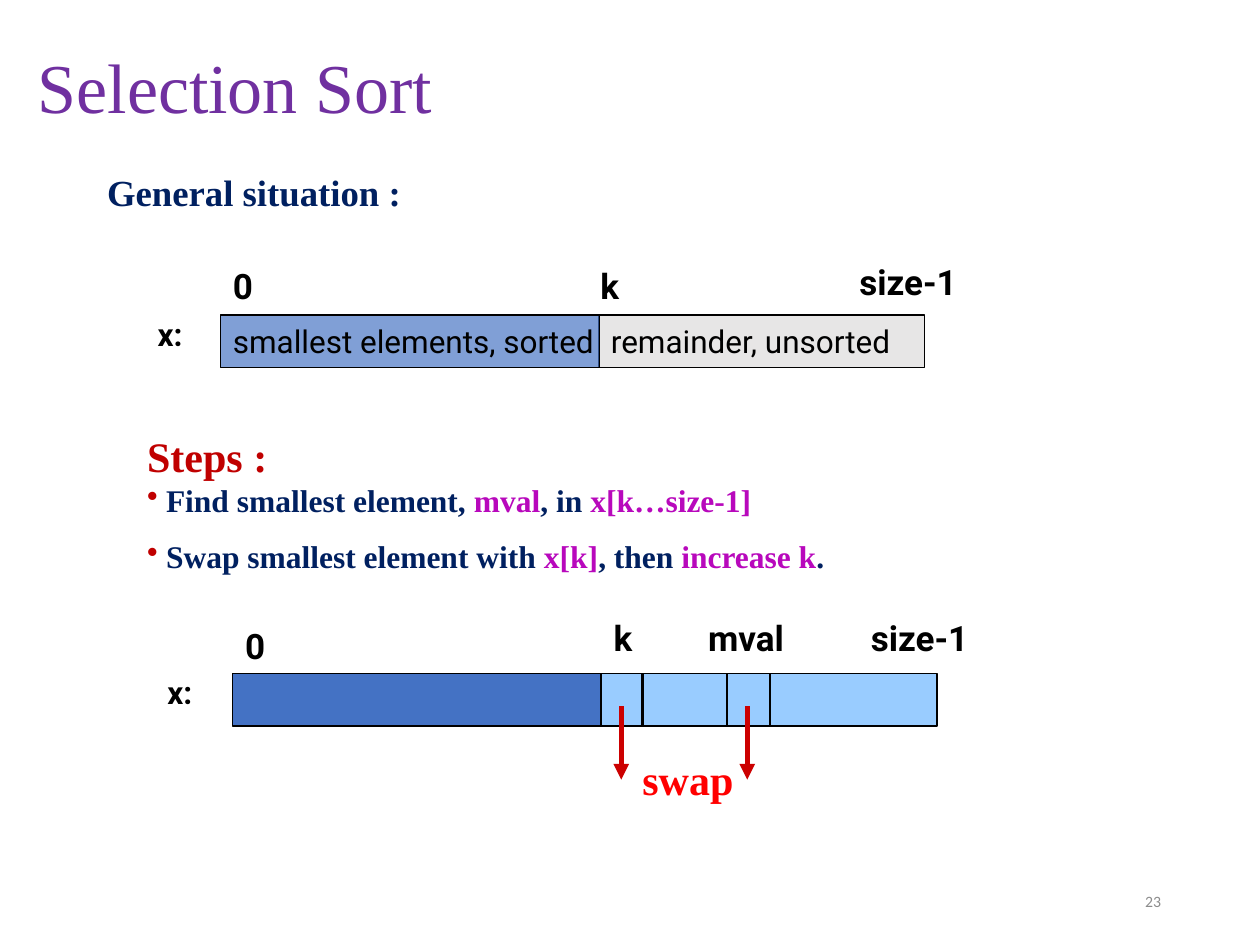
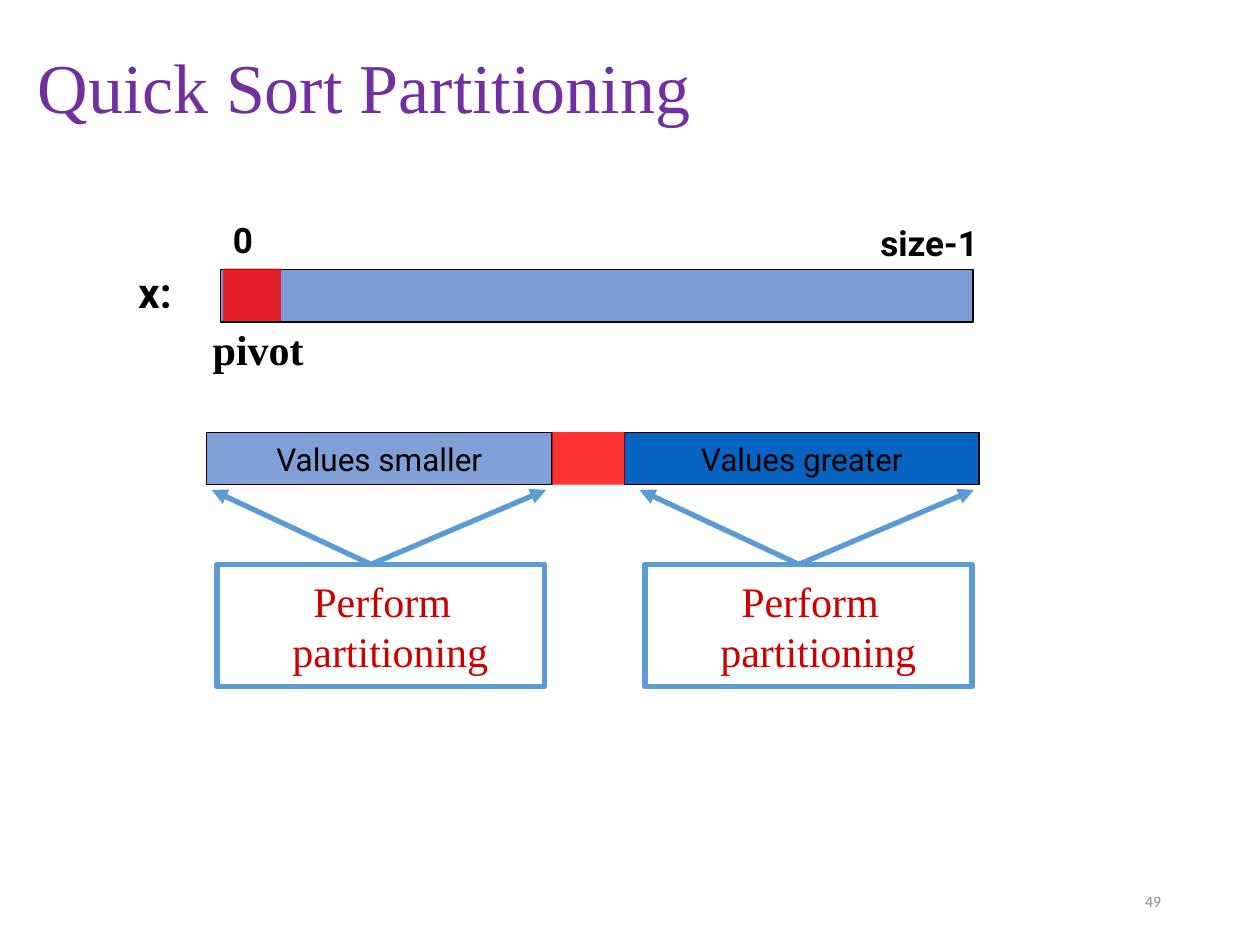
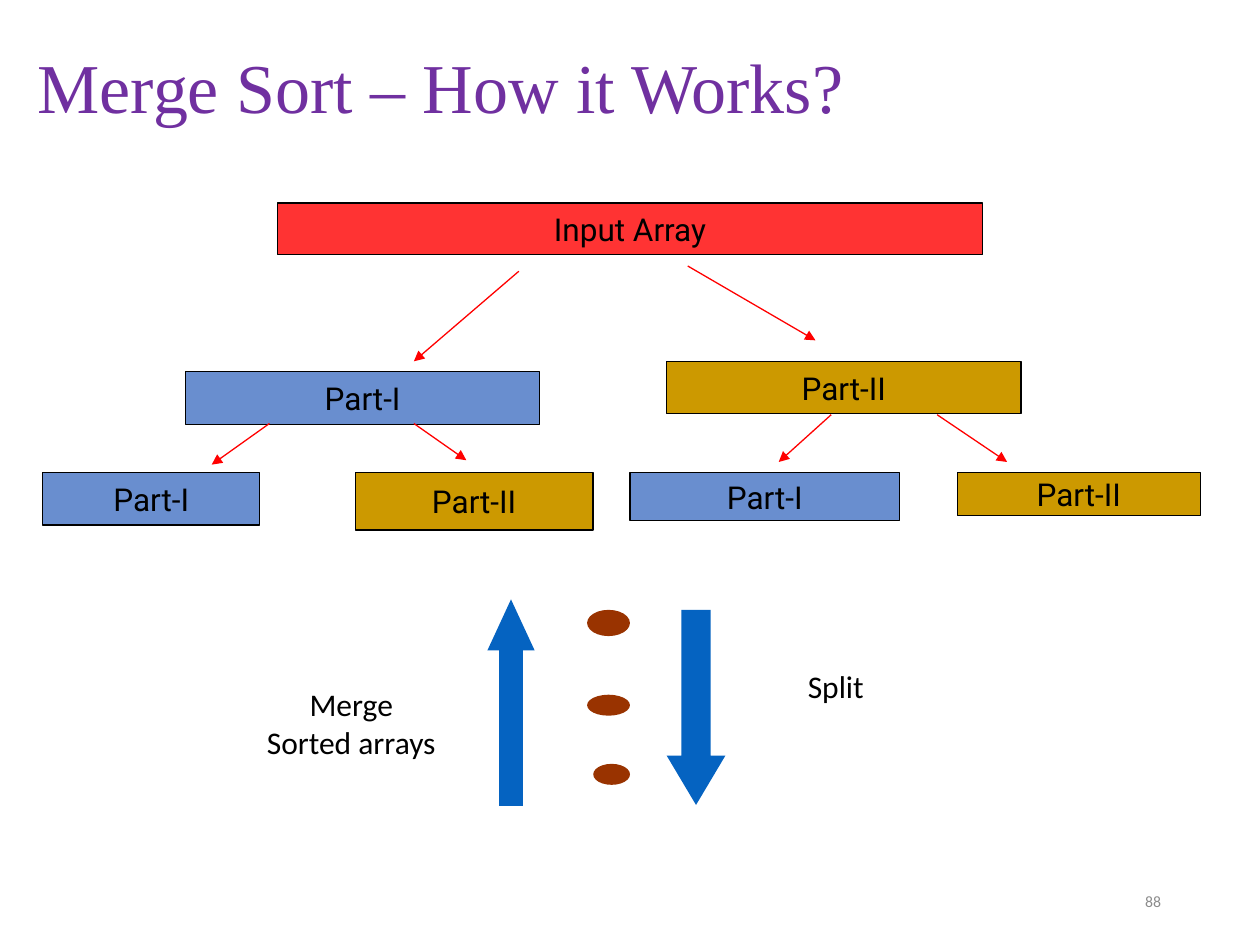
"""Build three slides on selection sort, quick sort and merge sort."""
import pptx
import pptx.dml.color
import pptx.enum.shapes
import pptx.enum.text
import pptx.oxml.ns
import pptx.oxml.xmlchemy
import pptx.util
from lxml import etree

Pt = pptx.util.Pt
qn = pptx.oxml.ns.qn
MSO = pptx.enum.shapes.MSO_SHAPE
ALIGN = pptx.enum.text.PP_ALIGN
ANCHOR = pptx.enum.text.MSO_ANCHOR

C = {
    "purple": "7030A0", "navy": "002060", "grey": "8C8C8C", "silver": "E7E6E6",
    "blue": "4472C4", "sky": "99CCFF", "azure": "0563C1", "frame": "5B9BD5",
    "red": "FF0000", "crimson": "CC0000", "maroon": "C00000", "gold": "CC9900",
    "brown": "993300", "magenta": "B808BC", "black": "000000", "white": "FFFFFF",
}
SERIF, SANS, PLAIN = "Times New Roman", "Roboto", "Calibri"
BAR_H = 30
PART_1, PART_2 = ("Part-I", "blue", 80), ("Part-II", "gold", 100)

SELECTION_BARS = [
    (342, 180, 186.5, "remainder, unsorted", "silver", 100),
    (126, 180, 216.5, "smallest elements, sorted", "blue", 68),
    (133, 385, 210.5, "", "blue", 100),
    (343.5, 385, 192, "", "sky", 100),
]
SELECTION_LABELS = [
    ("0", 126, 147.5, 27.5, 20), ("size-1", 484, 145.5, 75, 20),
    ("k", 336, 147.5, 27, 20), ("x:", 83, 176.5, 37.5, 18),
    ("0", 133, 353.5, 27.5, 20), ("k", 343.5, 349, 27, 20),
    ("size-1", 490.5, 349, 79, 20), ("mval", 397.5, 349, 65, 20),
    ("x:", 88.5, 381, 37.5, 18),
]
STEPS = [
    [("Find smallest element, ", "navy"), ("mval", "magenta"),
     (", in ", "navy"), ("x[k…size-1]", "magenta")],
    [("Swap smallest element with ", "navy"), ("x[k]", "magenta"),
     (", then ", "navy"), ("increase k", "magenta"), (".", "navy")],
]
CELL_EDGES = [367, 415.5, 440]
SWAP_ARROWS = [355, 427]

PARTITION_LABELS = [
    ("0", 126, 121.5, 27.5, 20), ("size-1", 496, 123, 103, 20),
    ("x:", 72, 148.5, 37.5, 24),
]
PARTITION_BARS = [
    (126, 154, 430, "", "blue", 69),
    (118, 247, 197.5, "Values smaller", "blue", 68),
    (357, 247, 202.5, "Values greater", "azure", 100),
]
PIVOTS = [(127.5, 153.5, 33), (315.5, 247, 41.5)]
PERFORM_X = [124, 368.5]

MERGE_BARS = [
    (158.5, 116, 403, 29.5, ("Input Array", "red", 80)),
    (106, 212.5, 202.5, 30, PART_1), (381, 206.5, 202.5, 30, PART_2),
    (360, 270, 154, 27.5, PART_1), (547, 270, 139, 24.5, PART_2),
    (24.5, 270, 124, 30, PART_1), (203, 270, 136, 33, PART_2),
]
SPLIT_ARROWS = [
    (296.5, 155, 236.5, 206.5), (393, 152, 466, 194.5),
    (475, 237, 445, 264), (535.5, 237, 575.5, 264),
    (154, 242, 121, 265.5), (236.5, 242, 266.5, 263),
]
DOTS = [(335.5, 348.5, 24.5, 15), (335.5, 397, 24.5, 12), (339, 436.5, 21, 12)]
BLOCK_ARROWS = [
    (MSO.DOWN_ARROW, 381, 348.5, 33.5, 111.5, 0.84),
    (MSO.UP_ARROW, 278.5, 342.5, 27, 118, 1.08),
]


def rgb(name):
    return pptx.dml.color.RGBColor.from_string(C[name])


def style(r, font, size, color, bold=False):
    r.font.name, r.font.size, r.font.bold = font, Pt(size), bold
    r.font.color.rgb = rgb(color)


def write(tf, text, font, size, color, bold=False, align=ALIGN.LEFT, indents=(0,), spacing=None):
    tf.text = text
    for i, p in enumerate(tf.paragraphs):
        p.alignment = align
        p.line_spacing = spacing
        left = indents[i % len(indents)]
        if left:
            p._p.get_or_add_pPr().set("marL", str(Pt(left)))
        for r in p.runs:
            style(r, font, size, color, bold)


def add_text(s, box, *args, anchor=ANCHOR.TOP, **kwargs):
    tf = s.shapes.add_textbox(*map(Pt, box)).text_frame
    tf.word_wrap = True
    tf.vertical_anchor = anchor
    write(tf, *args, **kwargs)
    return tf


def add_shape(s, kind, box, fill, alpha=100, line=None, width=0.75):
    sp = s.shapes.add_shape(kind, *map(Pt, box))
    sp.shadow.inherit = False
    sp.fill.solid()
    sp.fill.fore_color.rgb = rgb(fill)
    if alpha < 100:
        clr = sp._element.spPr.find(qn("a:solidFill"))[0]
        etree.SubElement(clr, qn("a:alpha")).set("val", str(alpha * 1000))
    if line:
        sp.line.color.rgb = rgb(line)
        sp.line.width = Pt(width)
    else:
        sp.line.fill.background()
    tf = sp.text_frame
    tf.word_wrap = False
    tf.vertical_anchor = ANCHOR.MIDDLE
    return sp


def add_bar(s, box, text, fill, alpha, align=ALIGN.CENTER):
    sp = add_shape(s, MSO.RECTANGLE, box, fill, alpha, "black")
    if text:
        write(sp.text_frame, text, SANS, 18, "black", align=align)


def add_line(s, ends, color, width, arrow=True):
    cn = s.shapes.add_connector(pptx.enum.shapes.MSO_CONNECTOR.STRAIGHT, *map(Pt, ends))
    cn.line.color.rgb = rgb(color)
    cn.line.width = Pt(width)
    if arrow:
        etree.SubElement(cn.line._get_or_add_ln(), qn("a:tailEnd")).set("type", "triangle")
    etree.SubElement(cn._element.spPr, qn("a:effectLst"))


def add_labels(s, labels):
    for text, x, y, w, size in labels:
        add_text(s, (x, y, w, 31), text, SANS, size, "black", True)


def add_slide(prs, title, number):
    s = prs.slides.add_slide(prs.slide_layouts[6])
    add_text(s, (508.5, 500.5, 162, 29), number, PLAIN, 9, "grey",
             align=ALIGN.RIGHT, anchor=ANCHOR.MIDDLE)
    add_text(s, (14.5, 15, 686, 73.5), title, SERIF, 40, "purple",
             spacing=0.9, anchor=ANCHOR.MIDDLE)
    return s


def add_steps(s):
    tf = add_text(s, (77, 242.5, 572.5, 90), "Steps :", SERIF, 24, "maroon", True)
    for i, parts in enumerate(STEPS):
        p = tf.add_paragraph()
        p.space_before = Pt(10.5 * i)
        pPr = p._p.get_or_add_pPr()
        pPr.set("marL", str(Pt(10.8)))
        pPr.set("indent", str(-Pt(10.8)))
        clr = etree.SubElement(pPr, qn("a:buClr"))
        etree.SubElement(clr, qn("a:srgbClr")).set("val", C["maroon"])
        etree.SubElement(pPr, qn("a:buChar")).set("char", "•")
        for text, color in parts:
            r = p.add_run()
            r.text = text
            style(r, SERIF, 18, color, True)


def selection_slide(prs):
    s = add_slide(prs, "Selection Sort", "23")
    add_text(s, (50.5, 96.5, 612, 52), "General situation :", SERIF, 21, "navy", True,
             indents=(3.6,), spacing=0.9)
    for x, y, w, *bar in SELECTION_BARS:
        add_bar(s, (x, y, w, BAR_H), *bar, align=ALIGN.LEFT)
    add_labels(s, SELECTION_LABELS)
    add_steps(s)
    for x in CELL_EDGES:
        add_line(s, (x, 385, x, 415.5), "black", 1.5, arrow=False)
    for x in SWAP_ARROWS:
        add_line(s, (x, 403.5, x, 445.5), "crimson", 3)
    add_text(s, (360, 427, 72, 36), "swap", SERIF, 24, "red", True)


def partition_slide(prs):
    s = add_slide(prs, "Quick Sort Partitioning", "49")
    for x, y, w, *bar in PARTITION_BARS:
        add_bar(s, (x, y, w, BAR_H), *bar)
    for x, y, w in PIVOTS:
        add_shape(s, MSO.RECTANGLE, (x, y, w, BAR_H), "red", 80)
    add_labels(s, PARTITION_LABELS)
    add_text(s, (78.5, 181.5, 108, 36), "pivot", SERIF, 24, "black", True, indents=(36,))
    for x in PERFORM_X:
        sp = add_shape(s, MSO.RECTANGLE, (x, 322.5, 187, 70), "white", line="frame", width=3)
        write(sp.text_frame, "Perform\npartitioning", SERIF, 24, "crimson", indents=(48, 36))
        for tip in (x - 3, x + 188):
            add_line(s, (x + 88, 322.5, tip, 280), "frame", 3)


def merge_slide(prs):
    s = add_slide(prs, "Merge Sort – How it Works?", "88")
    for *box, bar in MERGE_BARS:
        add_bar(s, box, *bar)
    for ends in SPLIT_ARROWS:
        add_line(s, ends, "red", 0.75)
    for box in DOTS:
        add_shape(s, MSO.OVAL, box, "brown")
    for kind, *box, head in BLOCK_ARROWS:
        sp = add_shape(s, kind, box, "azure")
        sp.adjustments[0], sp.adjustments[1] = 0.5, head
    add_text(s, (418.5, 377.5, 96, 36), "Split", PLAIN, 18, "black", indents=(36,))
    add_text(s, (103.5, 388, 158.5, 51), "Merge\nSorted arrays", PLAIN, 18, "black",
             align=ALIGN.CENTER, indents=(36,))


def main():
    prs = pptx.Presentation()
    prs.slide_width, prs.slide_height = Pt(720), Pt(540)
    selection_slide(prs)
    partition_slide(prs)
    merge_slide(prs)
    prs.save("out.pptx")


if __name__ == "__main__":
    main()
